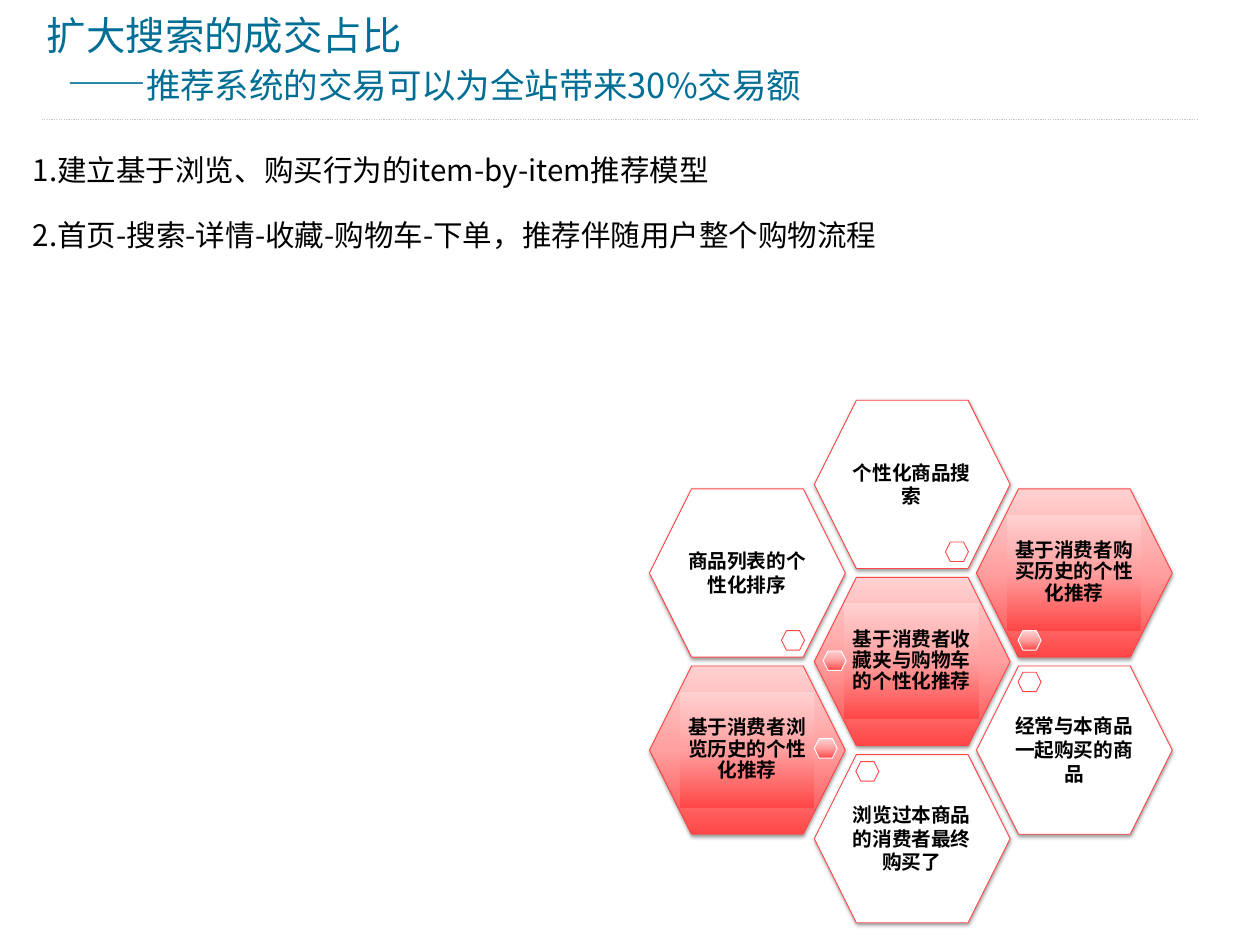
"""Builds the slide on the share of trade brought by recommendations."""
from lxml import etree
from pptx import Presentation
from pptx.dml.color import RGBColor
from pptx.enum.dml import MSO_LINE
from pptx.enum.shapes import MSO_CONNECTOR, MSO_SHAPE
from pptx.enum.text import MSO_ANCHOR, PP_ALIGN
from pptx.oxml import parse_xml
from pptx.oxml.ns import nsdecls, qn
from pptx.util import Inches, Pt

HEXAGON, RECTANGLE = MSO_SHAPE.HEXAGON, MSO_SHAPE.RECTANGLE
STRAIGHT, DOTTED = MSO_CONNECTOR.STRAIGHT, MSO_LINE.ROUND_DOT
MIDDLE, TOP = MSO_ANCHOR.MIDDLE, MSO_ANCHOR.TOP
CENTER = PP_ALIGN.CENTER

FONT = "Noto Sans CJK SC"
TEAL, BLACK, WHITE, RED, GREY = "006E95", "000000", "FFFFFF", "FF4747", "C5C5C5"
RED_STOPS = [(0, "FFD1D1"), (50, "FF9F9F"), (100, RED)]

TITLE = [
    [("扩大搜索的成交占比", 32)],
    [("——", 32), ("推荐系统的交易可以为全站带来30%交易额", 28)],
]
POINTS = [
    [("1.建立基于浏览、购买行为的item-by-item推荐模型", 24)],
    [("2.首页-搜索-详情-收藏-购物车-下单，推荐伴随用户整个购物流程", 24)],
]
# Each cell: column, row, red or white, marker offset, label.
CELLS = [
    (0, 1, False, (1.49, 1.6), "商品列表的个性化排序"),
    (0, 3, True, (1.86, 0.82), "基于消费者浏览历史的个性化推荐"),
    (1, 4, False, (0.47, 0.08), "浏览过本商品的消费者最终购买了"),
    (1, 2, True, (0.1, 0.83), "基于消费者收藏夹与购物车的个性化推荐"),
    (2, 1, True, (0.47, 1.6), "基于消费者购买历史的个性化推荐"),
    (2, 3, False, (0.47, 0.07), "经常与本商品一起购买的商品"),
    (1, 0, False, (1.48, 1.6), "个性化商品搜索"),
]
COLUMNS = (7.33, 9.19, 11.02)
FIRST_ROW, ROW_STEP = 4.52, 1.0
CELL_SIZE, LABEL_SIZE, MARKER_SIZE = (2.21, 1.9), (1.52, 1.31), (0.26, 0.22)
LABEL_OFFSET = (0.34, 0.29)


def color(value):
    return RGBColor.from_string(value)


def style_span(span, size, ink, bold=False):
    span.font.name = FONT
    span.font.size = Pt(size)
    span.font.bold = bold
    span.font.color.rgb = color(ink)
    latin = span.font._element.find(qn("a:latin"))
    latin.addnext(parse_xml(f'<a:ea {nsdecls("a")} typeface="{FONT}"/>'))


def set_frame(frame, anchor, side, edge):
    frame.word_wrap = True
    frame.vertical_anchor = anchor
    frame.margin_left = frame.margin_right = Inches(side)
    frame.margin_top = frame.margin_bottom = Inches(edge)


def add_text(page, place, lines, ink, anchor):
    box = page.shapes.add_textbox(*map(Inches, place))
    frame = box.text_frame
    set_frame(frame, anchor, 0.06, 0.06)
    for index, line in enumerate(lines):
        para = frame.paragraphs[0] if index == 0 else frame.add_paragraph()
        for text, size in line:
            span = para.add_run()
            span.text = text
            style_span(span, size, ink)
    return frame.paragraphs


def indent(para, left, first):
    properties = para._p.get_or_add_pPr()
    properties.set("marL", str(Inches(left)))
    properties.set("indent", str(Inches(first)))


def add_part(group, kind, corner, size, is_red, outline=None):
    part = group.shapes.add_shape(kind, *map(Inches, (*corner, *size)))
    part.shadow.inherit = False
    if is_red:
        stops = "".join(
            f'<a:gs pos="{position * 1000}"><a:srgbClr val="{stop}"/></a:gs>'
            for position, stop in RED_STOPS)
        part._element.spPr.find(qn("a:prstGeom")).addnext(parse_xml(
            f'<a:gradFill {nsdecls("a")} rotWithShape="1"><a:gsLst>{stops}</a:gsLst>'
            '<a:lin ang="5400000" scaled="0"/></a:gradFill>'))
    else:
        part.fill.solid()
        part.fill.fore_color.rgb = color(WHITE)
    if outline:
        part.line.color.rgb = color(outline)
        part.line.width = Pt(0.75)
    else:
        part.line.fill.background()
    return part


def add_shadow(part):
    effects = part._element.spPr.find(qn("a:effectLst"))
    effects.append(parse_xml(
        f'<a:outerShdw {nsdecls("a")} blurRad="{Pt(3.1)}" dist="{Pt(1.6)}" '
        'dir="5400000" rotWithShape="0"><a:srgbClr val="000000">'
        '<a:alpha val="38000"/></a:srgbClr></a:outerShdw>'))


def add_cell(page, column, row, is_red, marker_offset, text):
    corner = (COLUMNS[column], FIRST_ROW + row * ROW_STEP)

    def shifted(offset):
        return [start + move for start, move in zip(corner, offset)]

    group = page.shapes.add_group_shape()
    add_shadow(add_part(group, HEXAGON, corner, CELL_SIZE, is_red, RED))
    label = add_part(group, RECTANGLE, shifted(LABEL_OFFSET), LABEL_SIZE, is_red)
    set_frame(label.text_frame, MIDDLE, 0, 0.02)
    label.text_frame.text = text
    para = label.text_frame.paragraphs[0]
    para.alignment = CENTER
    if is_red:
        para.line_spacing = 0.9
    style_span(para.runs[0], 16, BLACK, bold=True)
    add_part(group, HEXAGON, shifted(marker_offset), MARKER_SIZE, is_red,
             WHITE if is_red else RED)


deck = Presentation()
deck.slide_width, deck.slide_height = Inches(14.22), Inches(10.67)
page = deck.slides.add_slide(deck.slide_layouts[6])

rule = page.shapes.add_connector(STRAIGHT, *map(Inches, (0.47, 1.35, 13.53, 1.35)))
rule.line.color.rgb = color(GREY)
rule.line.width = Pt(1)
rule.line.dash_style = DOTTED
etree.SubElement(rule._element.spPr, qn("a:effectLst"))

title_paras = add_text(page, (0.47, 0, 13.07, 1.33), TITLE, TEAL, MIDDLE)
indent(title_paras[1], 0.23, 0)
for point in add_text(page, (0.31, 1.66, 13.07, 8.28), POINTS, BLACK, TOP):
    indent(point, 0.38, -0.38)
    point.space_before = Pt(24)

for cell in CELLS:
    add_cell(page, *cell)

deck.save("out.pptx")
